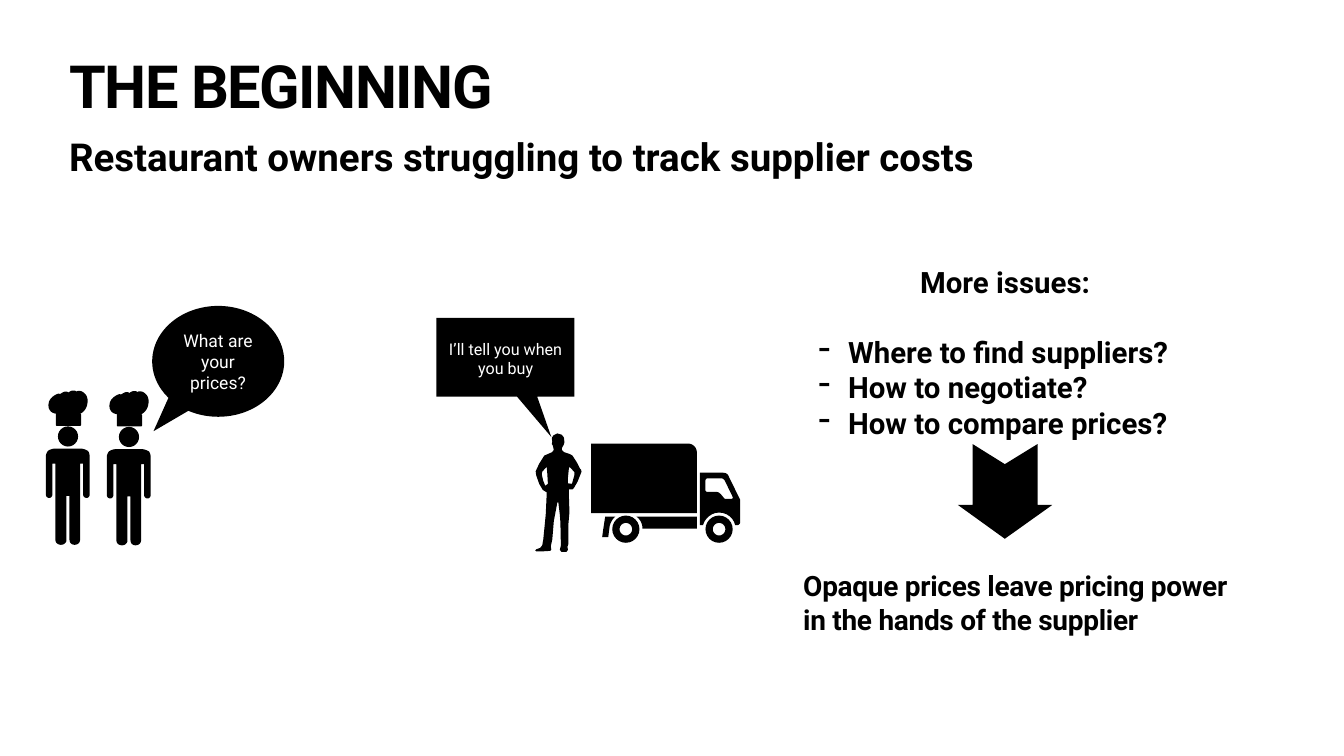
from pptx import Presentation
from pptx.dml.color import RGBColor
from pptx.enum.shapes import MSO_SHAPE
from pptx.enum.text import MSO_ANCHOR, PP_ALIGN
from pptx.oxml.ns import qn
from pptx.util import Emu, Pt
from lxml import etree

PX = 9144  # one px is a hundredth of an inch
WIDE, HIGH = 2667, 1500
FONT = "Roboto"
COLORS = {"ink": "000000", "paper": "FFFFFF"}
LEFT, CENTER = PP_ALIGN.LEFT, PP_ALIGN.CENTER
TOP, MIDDLE = MSO_ANCHOR.TOP, MSO_ANCHOR.MIDDLE
OVAL = MSO_SHAPE.OVAL_CALLOUT

TITLE = "THE BEGINNING"
CLAIM = "Restaurant owners struggling to track supplier costs"
ASK = "What are your prices?"
REPLY = "I’ll tell you when you buy"
HEAD = "More issues:"
ISSUES = ["Where to find suppliers?", "How to negotiate?", "How to compare prices?"]
RESULT = "Opaque prices leave pricing power in the hands of the supplier"

CHEFS = [(0, 0), (121, 1)]  # shift of each chef


def ring(x, y, r):
    """Outline of a circle around x, y."""
    k = 0.55 * r
    return (f"M {x - r} {y} C {x - r} {y - k} {x - k} {y - r} {x} {y - r} "
            f"{x + k} {y - r} {x + r} {y - k} {x + r} {y} "
            f"{x + r} {y + k} {x + k} {y + r} {x} {y + r} "
            f"{x - k} {y + r} {x - r} {y + k} {x - r} {y} ")


HAT = """M 147 775 C 146 775 146 775 145 775 141 775 138 777 136 779
134 777 132 777 130 777 128 777 125 778 119 782 118 781 115 781 113 782
111 783 96 789 96 804 96 816 105 821 113 821 111 821 111 822 111 823
L 111 843 C 111 844 111 845 113 845 L 159 845 C 160 845 161 844 161 843
L 161 823 C 161 822 160 821 159 821 159 821 173 816 174 797
174 786 170 782 166 779 163 776 156 774 151 777 151 776 149 775 147 775"""

BODY = ring(135, 866, 20) + """M 111 890 C 103 890 97 893 95 895
91 900 91 905 91 907 L 91 981 C 91 985 94 988 98 988 101 988 104 985 104 981
L 104 920 110 920 110 1071 C 110 1077 115 1081 121 1081 127 1081 132 1077 132 1071
L 132 984 138 984 138 1071 C 138 1077 142 1081 148 1081 154 1081 159 1077 159 1071
L 159 920 165 920 165 981 C 165 985 168 988 172 988 175 988 178 985 178 981
L 178 907 C 178 905 178 900 175 895 172 893 166 890 159 890"""

TRUCK = """M 1173 880 L 1173 1018 1383 1018 1383 898 C 1383 888 1375 880 1365 880
M 1389 938 L 1389 1042 1395 1042 C 1399 1028 1412 1017 1427 1017
1443 1017 1456 1028 1459 1042 L 1463 1042 C 1466 1042 1469 1039 1469 1036
L 1469 996 C 1469 994 1469 991 1468 990 L 1446 945 C 1444 940 1440 938 1435 938
M 1404 949 L 1432 949 C 1434 949 1436 951 1438 953 L 1454 986
C 1455 988 1453 990 1451 990 L 1441 990 C 1438 990 1437 989 1435 986
1433 984 1428 976 1422 976 L 1404 976 C 1402 976 1400 975 1400 973
L 1400 953 C 1400 951 1402 949 1404 949
M 1201 1025 L 1197 1051 1195 1066 1207 1066 1210 1043 C 1212 1036 1216 1029 1221 1025
M 1263 1025 C 1271 1031 1275 1039 1275 1049 L 1383 1049 1383 1025 """
TRUCK += "".join(ring(x, 1050, r) for x in (1242, 1427) for r in (27, 12.5))

SELLER = """M 1106 860 L 1098 864 1095 869 1096 877 1095 881 1097 884 1099 893 1097 895
1096 897 1080 904 1070 920 1063 935 1064 943 1070 960 1077 972 1085 977 1083 1020
1081 1041 1078 1071 1076 1082 1072 1087 1064 1090 1062 1092 1064 1094 1076 1094
1092 1093 1094 1090 1093 1084 1096 1070 1099 1034 1106 997 1108 997 1111 1022 1112 1036
1113 1082 1111 1091 1114 1095 1124 1095 1127 1091 1126 1085 1128 1079 1128 1039
1130 1016 1129 986 1129 971 1136 971 1139 968 1146 956 1152 941 1154 936 1153 932
1151 930 1145 918 1136 904 1131 901 1119 897 1117 895 1115 893 1115 889 1117 885
1119 882 1120 877 1119 868 1115 863 1113 862
M 1130 927 L 1132 928 1140 937 1140 942 1135 960 1127 959 1127 948 1129 928
M 1084 927 L 1085 928 1086 939 1087 956 1087 960 1082 964 1078 954 1075 941 1076 936"""

SPEECH = "M 866 631 L 866 787 1026 787 1094 867 1066 787 1140 787 1140 631"
ARROW = "M 1994 1069 L 1901 1002 1930 1002 1930 881 1994 921 2059 881 2059 1002 2088 1002"


def trace(code, steps=6):
    """Turn an outline of M, L and C parts into lists of points."""
    loops, mode, nums = [], "", []
    for word in code.split():
        if word in "MLC":
            mode = word
            continue
        nums.append(float(word))
        if len(nums) < (6 if mode == "C" else 2):
            continue
        if mode == "M":
            loops.append([tuple(nums)])
        elif mode == "L":
            loops[-1].append(tuple(nums))
        else:
            ctrl = [loops[-1][-1], *zip(nums[::2], nums[1::2])]
            for i in range(1, steps + 1):
                t, u = i / steps, 1 - i / steps
                mix = (u ** 3, 3 * u * u * t, 3 * u * t * t, t ** 3)
                loops[-1].append(tuple(
                    sum(m * c[a] for m, c in zip(mix, ctrl)) for a in (0, 1)))
        nums = []
    return loops


def paint(shape):
    shape.shadow.inherit = False
    shape.fill.solid()
    shape.fill.fore_color.rgb = RGBColor.from_string(COLORS["ink"])
    shape.line.fill.background()


def draw(code, dx=0, dy=0):
    loops = [[((x + dx) * PX, (y + dy) * PX) for x, y in loop] for loop in trace(code)]
    form = slide.shapes.build_freeform(*loops[0][0])
    for i, loop in enumerate(loops):
        if i:
            form.move_to(*loop[0])
        form.add_line_segments(loop[1:], close=True)
    paint(form.convert_to_shape())


def frame(x, y, w, h, pad=6, anchor=TOP):
    box = slide.shapes.add_textbox(*(Emu(n * PX) for n in (x, y, w, h)))
    text = box.text_frame
    text.word_wrap = True
    text.vertical_anchor = anchor
    text.margin_left = text.margin_right = Emu(pad * PX)
    text.margin_top = text.margin_bottom = Emu(pad * PX)
    return text


def write(para, words, size, color="ink", bold=True, align=LEFT, track=0):
    para.alignment = align
    run = para.add_run()
    run.text = words
    font = run.font
    font.name, font.size, font.bold = FONT, Pt(size), bold
    font.color.rgb = RGBColor.from_string(COLORS[color])
    if track:
        run._r.get_or_add_rPr().set("spc", str(track))


def dash(para):
    props = para._p.get_or_add_pPr()
    props.set("marL", str(59 * PX))
    props.set("indent", str(-59 * PX))
    etree.SubElement(props, qn("a:buSzPct")).set("val", "123000")
    etree.SubElement(props, qn("a:buChar")).set("char", "-")


deck = Presentation()
deck.slide_width, deck.slide_height = Emu(WIDE * PX), Emu(HIGH * PX)
slide = deck.slides.add_slide(deck.slide_layouts[6])

title = frame(132, 118, 2403, 157).paragraphs[0]
title.line_spacing = 0.8
write(title, TITLE, 85, track=-200)
write(frame(132, 258, 2403, 102, pad=5).paragraphs[0], CLAIM, 55)

for dx, dy in CHEFS:
    draw(HAT, dx, dy)
    draw(BODY, dx, dy)
draw(TRUCK)
draw(SELLER)

bubble = slide.shapes.add_shape(OVAL, *(Emu(n * PX) for n in (302, 607, 262, 220)))
bubble.adjustments[0], bubble.adjustments[1] = -0.49, 0.63
paint(bubble)
draw(SPEECH)
for words, size, spot in [(ASK, 25, (340, 650, 185, 135)), (REPLY, 23, (866, 668, 275, 88))]:
    write(frame(*spot, anchor=MIDDLE).paragraphs[0], words, size, "paper", False, CENTER)

more = frame(1618, 517, 753, 364, anchor=MIDDLE)
write(more.paragraphs[0], HEAD, 42, align=CENTER)
more.paragraphs[0].space_after = Pt(49)
for words in ISSUES:
    para = more.add_paragraph()
    write(para, words, 42)
    dash(para)

result = frame(1588, 1123, 903, 146).paragraphs[0]
result.space_before = Pt(18)
write(result, RESULT, 40, track=-40)
draw(ARROW)

deck.save("out.pptx")
